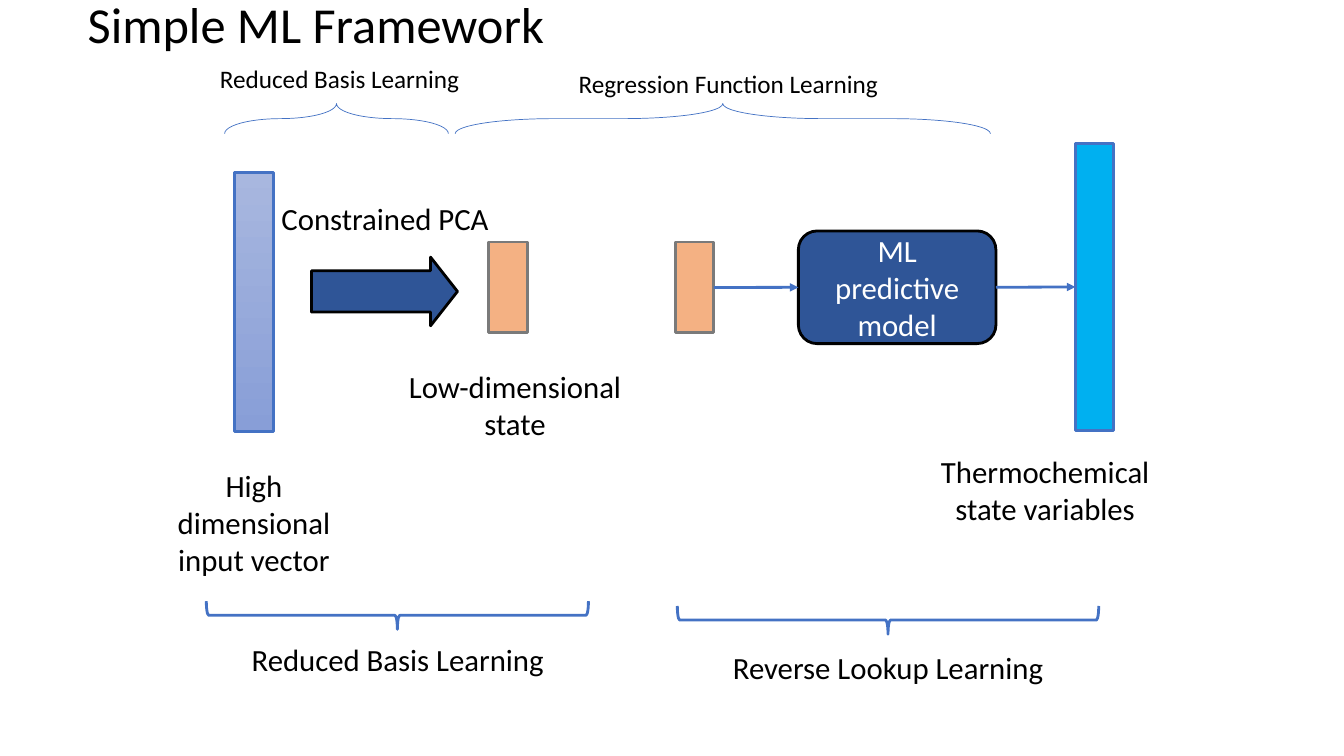
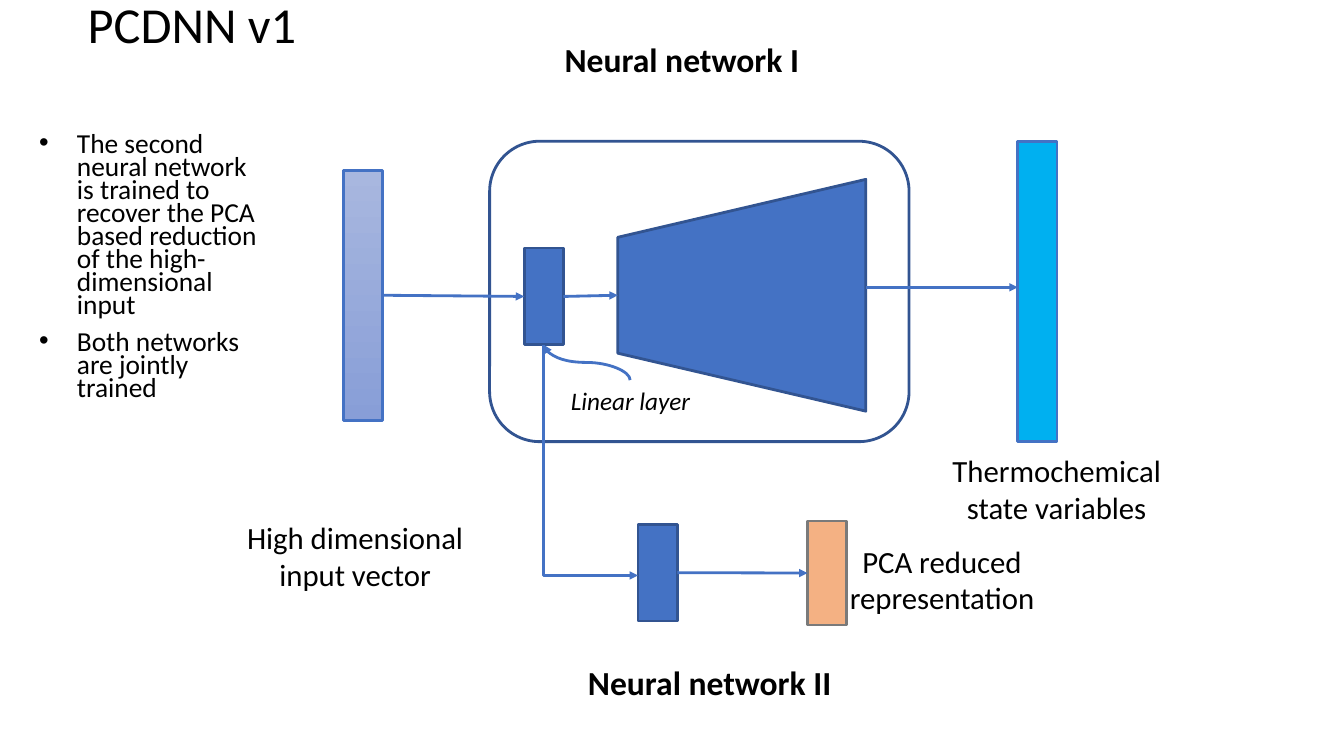
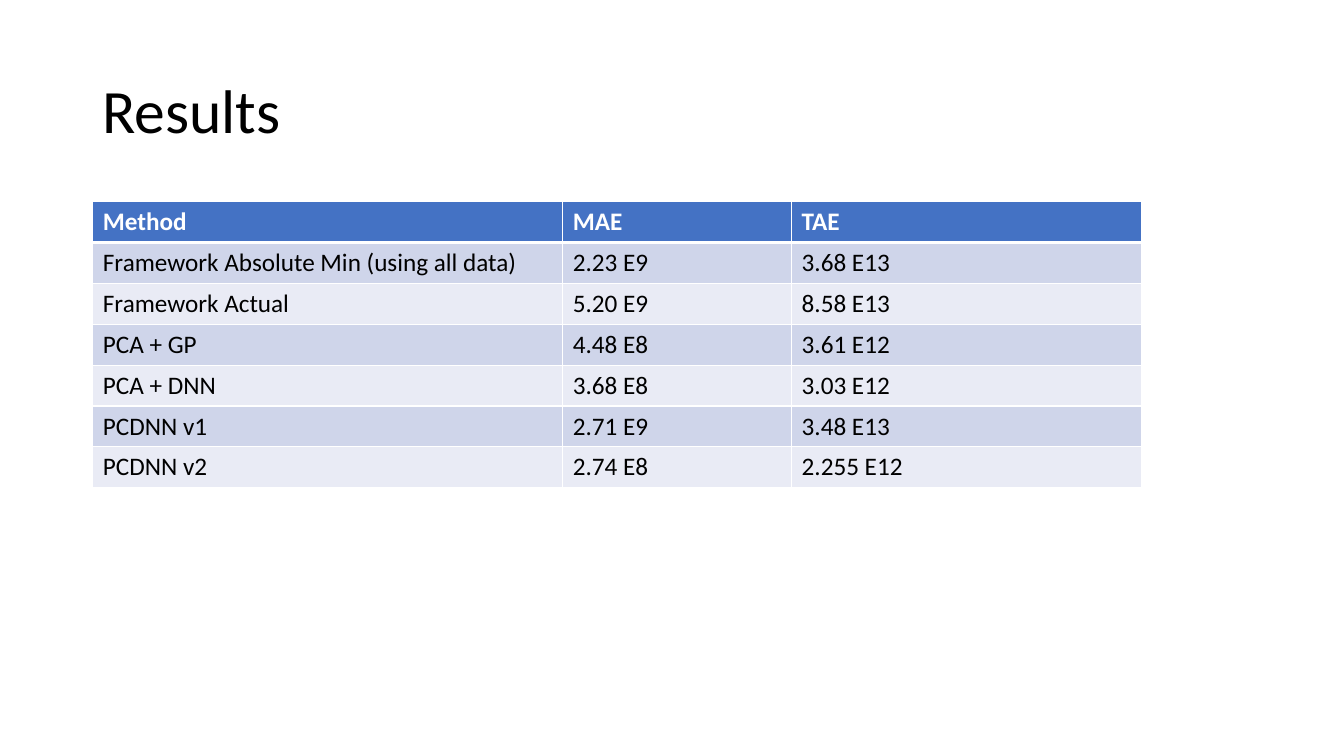
"""Build three slides on a reduced-basis machine learning framework."""
import dataclasses

import lxml.etree
import pptx
import pptx.dml.color
import pptx.enum.shapes
import pptx.enum.text
import pptx.oxml.ns
import pptx.util

Cm = pptx.util.Cm
Pt = pptx.util.Pt
Kind = pptx.enum.shapes.MSO_SHAPE
Link = pptx.enum.shapes.MSO_CONNECTOR
Align = pptx.enum.text.PP_ALIGN
Anchor = pptx.enum.text.MSO_ANCHOR
qn = pptx.oxml.ns.qn


@dataclasses.dataclass(frozen=True)
class Theme:
    font: str = "Calibri"
    black: str = "000000"
    white: str = "FFFFFF"
    blue: str = "4472C4"
    edge_blue: str = "325491"
    dark_blue: str = "2F5597"
    cyan: str = "00B0F0"
    orange: str = "F4B183"
    gray: str = "7A7A7A"
    gradient: tuple = ("A8B7DF", "889ED7")
    bands: tuple = ("E9EBF5", "CFD5EA")
    large_title: float = 44
    title: float = 36
    heading: float = 24
    label: float = 22
    bullet: float = 19.6
    small: float = 18
    line: float = 2
    thin_line: float = 0.5


theme = Theme()
rgb = pptx.dml.color.RGBColor.from_string


def add_shape(slide, kind, box, fill, line, weight=theme.line, rotation=0, adjustments=()):
    """Add a preset shape whose box is the area it covers after rotation."""
    left, top, width, height = box
    if rotation % 180:
        left, top = left + (width - height) / 2, top + (height - width) / 2
        width, height = height, width
    shape = slide.shapes.add_shape(kind, Cm(left), Cm(top), Cm(width), Cm(height))
    shape.rotation = rotation
    shape.shadow.inherit = False
    for index, value in enumerate(adjustments):
        shape.adjustments[index] = value
    if fill is None:
        shape.fill.background()
    elif isinstance(fill, tuple):
        shape.fill.gradient()
        shape.fill.gradient_angle = 270
        for stop, color in zip(shape.fill.gradient_stops, fill):
            stop.color.rgb = rgb(color)
    else:
        shape.fill.solid()
        shape.fill.fore_color.rgb = rgb(fill)
    shape.line.color.rgb = rgb(line)
    shape.line.width = Pt(weight)
    return shape


def write_text(frame, text, size, color=theme.black, align=Align.LEFT, spacing=None, bold=False, italic=False):
    """Fill a text frame and format all of its paragraphs alike."""
    frame.word_wrap = True
    frame.text = text
    for paragraph in frame.paragraphs:
        paragraph.alignment = align
        paragraph.line_spacing = spacing
        for run in paragraph.runs:
            run.font.name = theme.font
            run.font.size = Pt(size)
            run.font.color.rgb = rgb(color)
            run.font.bold = bold
            run.font.italic = italic


presentation = pptx.Presentation()
presentation.slide_width = Cm(33.87)
presentation.slide_height = Cm(19.05)
framework, network, results = [
    presentation.slides.add_slide(presentation.slide_layouts[6]) for _ in range(3)
]

top_title = (1.96, -0.05, 29.21, 1.52)
titles = [
    (framework, "Simple ML Framework", top_title, theme.title, 0.8, Anchor.BOTTOM),
    (network, "PCDNN v1", top_title, theme.title, 0.8, Anchor.BOTTOM),
    (results, "Results", (2.33, 1.02, 29.21, 3.68), theme.large_title, 0.9, Anchor.MIDDLE),
]
for slide, text, box, size, spacing, anchor in titles:
    frame = slide.shapes.add_textbox(*map(Cm, box)).text_frame
    frame.vertical_anchor = anchor
    write_text(frame, text, size, spacing=spacing)

model = add_shape(framework, Kind.ROUNDED_RECTANGLE, (20.12, 5.82, 4.98, 2.84), theme.dark_blue, theme.black)
model.text_frame.vertical_anchor = Anchor.MIDDLE
write_text(model.text_frame, "ML predictive model", theme.label, theme.white, Align.CENTER)
state_variables = add_shape(framework, Kind.RECTANGLE, (27.1, 3.61, 0.97, 7.24), theme.cyan, theme.blue)
add_shape(framework, Kind.RECTANGLE, (5.92, 4.34, 0.97, 6.53), theme.gradient, theme.blue)
add_shape(framework, Kind.RIGHT_ARROW, (7.85, 6.48, 3.68, 1.73), theme.dark_blue, theme.black,
          adjustments=(0.602, 0.392))
encoded_state, model_input = [
    add_shape(framework, Kind.RECTANGLE, (left, 6.1, 0.97, 2.29), theme.orange, theme.gray)
    for left in (12.32, 17.02)
]
for left, top, span in ((5.2, 15.15, 9.63), (17.07, 15.27, 10.62)):
    add_shape(framework, Kind.LEFT_BRACE, (left, top, span, 0.71), None, theme.blue, rotation=270)
for left, span in ((5.66, 5.64), (11.47, 13.49)):
    add_shape(framework, Kind.LEFT_BRACE, (left, 2.61, span, 0.76), None, theme.blue,
              theme.thin_line, 90, (3.275, 0.5))

decoder = add_shape(network, Kind.TRAPEZOID, (15.57, 4.52, 6.25, 5.84), theme.blue, theme.edge_blue, rotation=270)
input_vector = add_shape(network, Kind.RECTANGLE, (8.66, 4.29, 0.99, 6.3), theme.gradient, theme.blue)
linear_layer, second_layer = [
    add_shape(network, Kind.RECTANGLE, (left, top, 0.99, 2.44), theme.blue, theme.edge_blue)
    for left, top in ((13.21, 6.25), (16.08, 13.21))
]
add_shape(network, Kind.RECTANGLE, (25.65, 3.56, 0.99, 7.57), theme.cyan, theme.blue)
reduced_output = add_shape(network, Kind.RECTANGLE, (20.35, 13.13, 0.99, 2.62), theme.orange, theme.gray)
add_shape(network, Kind.ROUNDED_RECTANGLE, (12.34, 3.56, 10.57, 7.57), None, theme.edge_blue)

labels = [
    (framework, "Thermochemical state variables", (23.37, 11.28, 5.94, 2.13), theme.label, False, False),
    (framework, "Reverse Lookup Learning", (17.07, 16.23, 10.62, 1.19), theme.label, False, False),
    (framework, "High dimensional input vector", (3.43, 11.63, 5.94, 2.13), theme.label, False, False),
    (framework, "Low-dimensional state", (10.01, 9.14, 5.94, 2.13), theme.label, False, False),
    (framework, "Reduced Basis Learning", (5.21, 16.03, 9.63, 1.19), theme.label, False, False),
    (framework, "Constrained PCA", (6.78, 4.9, 5.85, 1.19), theme.label, False, False),
    (framework, "Reduced Basis Learning", (4.93, 1.47, 7.26, 1.02), theme.small, False, False),
    (framework, "Regression Function Learning", (14.15, 1.6, 8.41, 1.02), theme.small, False, False),
    (network, "High dimensional input vector", (5.89, 12.95, 6.12, 2.13), theme.label, False, False),
    (network, "Thermochemical state variables", (23.57, 11.25, 6.12, 2.13), theme.label, False, False),
    (network, "PCA reduced representation", (20.68, 13.54, 6.12, 2.13), theme.label, False, False),
    (network, "Neural network I", (13.69, 0.86, 6.99, 1.27), theme.heading, True, False),
    (network, "Neural network II", (14.43, 16.56, 6.91, 1.27), theme.heading, True, False),
    (network, "Linear layer", (12.83, 9.58, 6.12, 1.02), theme.small, False, True),
]
for slide, text, box, size, bold, italic in labels:
    frame = slide.shapes.add_textbox(*map(Cm, box)).text_frame
    write_text(frame, text, size, align=Align.CENTER, bold=bold, italic=italic)

bullets = (
    "The second neural network is trained to recover the PCA based reduction of the high-dimensional input\n"
    "Both networks are jointly trained"
)
frame = network.shapes.add_textbox(Cm(0.74), Cm(3.28), Cm(6.12), Cm(8.23)).text_frame
write_text(frame, bullets, theme.bullet, spacing=0.7)
for paragraph in frame.paragraphs:
    paragraph.space_before = Pt(10)
    properties = paragraph._p.get_or_add_pPr()
    properties.set("marL", str(Cm(0.95)))
    properties.set("indent", str(-Cm(0.95)))
    lxml.etree.SubElement(properties, qn("a:buFont"), typeface="Arial")
    lxml.etree.SubElement(properties, qn("a:buChar"), char="•")

arrows = [
    (framework, "line", (17.99, 7.24), (20.12, 7.24), model_input, model),
    (framework, "line", (25.1, 7.24), (27.1, 7.24), model, state_variables),
    (network, "line", (9.65, 7.44), (13.21, 7.47), input_vector, linear_layer),
    (network, "line", (14.2, 7.47), (15.57, 7.44), linear_layer, None),
    (network, "line", (21.82, 7.24), (25.65, 7.24), None, None),
    (network, "line", (17.07, 14.43), (20.35, 14.44), second_layer, reduced_output),
    (network, "bentConnector2", (13.7, 8.69), (16.08, 14.5), None, None),
    (network, "curvedConnector3", (15.88, 9.58), (13.7, 8.69), None, None),
]
link_kinds = {"line": Link.STRAIGHT, "bentConnector2": Link.ELBOW, "curvedConnector3": Link.CURVE}
for slide, preset, start, end, start_shape, end_shape in arrows:
    if preset != "line":
        middle_x, middle_y = (start[0] + end[0]) / 2, (start[1] + end[1]) / 2
        half_x, half_y = (end[0] - start[0]) / 2, (end[1] - start[1]) / 2
        start = (middle_x + half_y, middle_y - half_x)
        end = (middle_x - half_y, middle_y + half_x)
    connector = slide.shapes.add_connector(link_kinds[preset], *map(Cm, start + end))
    if start_shape is not None:
        connector.begin_connect(start_shape, 3)
    if end_shape is not None:
        connector.end_connect(end_shape, 1)
    connector.line.color.rgb = rgb(theme.blue)
    connector.line.width = Pt(theme.line)
    properties = connector._element.spPr
    if preset != "line":
        properties.find(qn("a:xfrm")).set("rot", "16200000")
        properties.find(qn("a:prstGeom")).set("prst", preset)
    lxml.etree.SubElement(properties.find(qn("a:ln")), qn("a:tailEnd"), type="triangle")
    lxml.etree.SubElement(properties, qn("a:effectLst"))

rows = [
    ("Method", "MAE", "TAE"),
    ("Framework Absolute Min (using all data)", "2.23 E9", "3.68 E13"),
    ("Framework Actual", "5.20 E9", "8.58 E13"),
    ("PCA + GP", "4.48 E8", "3.61 E12"),
    ("PCA + DNN", "3.68 E8", "3.03 E12"),
    ("PCDNN v1", "2.71 E9", "3.48 E13"),
    ("PCDNN v2", "2.74 E8", "2.255 E12"),
]
column_widths = (11.84, 5.77, 8.81)
row_height = 1.03
table = results.shapes.add_table(
    len(rows), len(column_widths), Cm(2.34), Cm(5.08), Cm(sum(column_widths)), Cm(row_height * len(rows))
).table
for column, width in zip(table.columns, column_widths):
    column.width = Cm(width)
for row_index, values in enumerate(rows):
    table.rows[row_index].height = Cm(row_height)
    header = row_index == 0
    for column_index, value in enumerate(values):
        cell = table.cell(row_index, column_index)
        write_text(cell.text_frame, value, theme.small, theme.white if header else theme.black, bold=header)
        properties = cell._tc.get_or_add_tcPr()
        for side in ("lnL", "lnR", "lnT", "lnB"):
            thick = (header and side == "lnB") or (row_index == 1 and side == "lnT")
            border = lxml.etree.SubElement(properties, qn("a:" + side), w=str(Pt(3 if thick else 1)))
            border_fill = lxml.etree.SubElement(border, qn("a:solidFill"))
            lxml.etree.SubElement(border_fill, qn("a:srgbClr"), val=theme.white)
        cell.fill.solid()
        cell.fill.fore_color.rgb = rgb(theme.blue if header else theme.bands[row_index % 2])

presentation.save("out.pptx")
